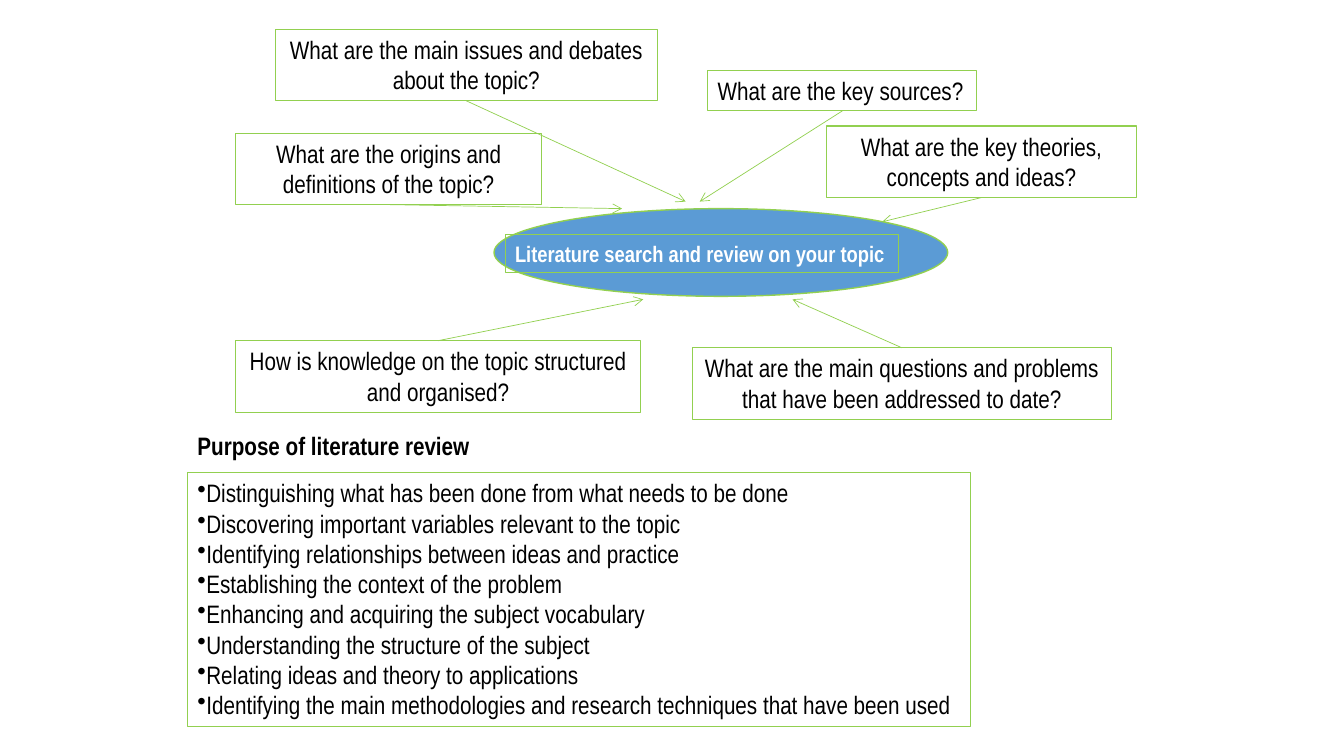
from lxml import etree
from pptx import Presentation
from pptx.dml.color import RGBColor
from pptx.enum.shapes import MSO_CONNECTOR, MSO_SHAPE
from pptx.enum.text import MSO_AUTO_SIZE, PP_ALIGN
from pptx.oxml.ns import qn
from pptx.util import Inches, Pt

GREEN = RGBColor(0x92, 0xD0, 0x50)
BLUE = RGBColor(0x5B, 0x9B, 0xD5)
WHITE = RGBColor(0xFF, 0xFF, 0xFF)
BLACK = RGBColor(0x00, 0x00, 0x00)

OVAL = MSO_SHAPE.OVAL
STRAIGHT = MSO_CONNECTOR.STRAIGHT
GROW = MSO_AUTO_SIZE.SHAPE_TO_FIT_TEXT
LEFT, CENTER = PP_ALIGN.LEFT, PP_ALIGN.CENTER

FONT = "Arial Narrow"
COLS, ROWS = 133.3, 75
CELL = Inches(0.1)
TOP, BOTTOM = 0, 2
HUB = (49, 20.7, 45, 8.7)

QUESTIONS = [
    ("What are the key theories, concepts and ideas?",
     (82, 12.5, 30.7, 7.1), (87.5, 22), True),
    ("What are the key sources?",
     (70.2, 7, 26.7, 4), (69.4, 20), False),
    ("What are the main issues and debates about the topic?",
     (27.3, 2.9, 37.9, 7.1), (68, 20), True),
    ("What are the origins and definitions of the topic?",
     (23.4, 13.2, 30.3, 7.1), (61.7, 20.7), True),
    ("How is knowledge on the topic structured and organised?",
     (23.4, 33.8, 40.1, 7.1), (63.8, 29.7), True),
    ("What are the main questions and problems that have been addressed to date?",
     (68.7, 34.5, 41.5, 7.1), (78.6, 29.7), True),
]

PURPOSES = [
    "Distinguishing what has been done from what needs to be done",
    "Discovering important variables relevant to the topic",
    "Identifying relationships between ideas and practice",
    "Establishing the context of the problem",
    "Enhancing and acquiring the subject vocabulary",
    "Understanding the structure of the subject",
    "Relating ideas and theory to applications",
    "Identifying the main methodologies and research techniques that have been used",
]


def grid(cells):
    return [int(n * CELL) for n in cells]


def outline(shape, width):
    shape.line.color.rgb = GREEN
    shape.line.width = Pt(width)


def add_hub(slide):
    hub = slide.shapes.add_shape(OVAL, *grid(HUB))
    hub.shadow.inherit = False
    hub.fill.solid()
    hub.fill.fore_color.rgb = BLUE
    outline(hub, 1)


def add_text(slide, lines, cells, size=18, color=BLACK, bold=False,
             align=LEFT, wrap=True, framed=True, bullet=False):
    box = slide.shapes.add_textbox(*grid(cells))
    if framed:
        outline(box, 0.75)
    frame = box.text_frame
    frame.word_wrap = wrap
    frame.auto_size = GROW
    frame.text = "\n".join(lines)
    for para in frame.paragraphs:
        para.alignment = align
        if bullet:
            mark = etree.SubElement(para._p.get_or_add_pPr(), qn("a:buChar"))
            mark.set("char", "•")
        for run in para.runs:
            run.font.name = FONT
            run.font.size = Pt(size)
            run.font.bold = bold
            run.font.color.rgb = color
    return box


def add_arrow(slide, box, site, tip):
    arrow = slide.shapes.add_connector(STRAIGHT, 0, 0, *grid(tip))
    arrow.begin_connect(box, site)
    outline(arrow, 0.5)
    head = etree.SubElement(arrow.line._get_or_add_ln(), qn("a:tailEnd"))
    head.set("type", "arrow")
    etree.SubElement(arrow._element.spPr, qn("a:effectLst"))


def main():
    deck = Presentation()
    deck.slide_width, deck.slide_height = grid((COLS, ROWS))
    slide = deck.slides.add_slide(deck.slide_layouts[6])

    add_hub(slide)
    add_text(slide, ["Literature search and review on your topic"],
             (50.1, 23.3, 39, 3.7), size=16, color=WHITE, bold=True, wrap=False)

    for text, cells, tip, wrap in QUESTIONS:
        box = add_text(slide, [text], cells, wrap=wrap,
                       align=CENTER if wrap else LEFT)
        site = BOTTOM if cells[1] < HUB[1] else TOP
        add_arrow(slide, box, site, tip)

    add_text(slide, ["Purpose of literature review"],
             (18.6, 42.2, 31.3, 4), bold=True, framed=False)
    add_text(slide, PURPOSES, (18.6, 46.9, 77.7, 25.2),
             wrap=False, bullet=True)
    deck.save("out.pptx")


if __name__ == "__main__":
    main()
